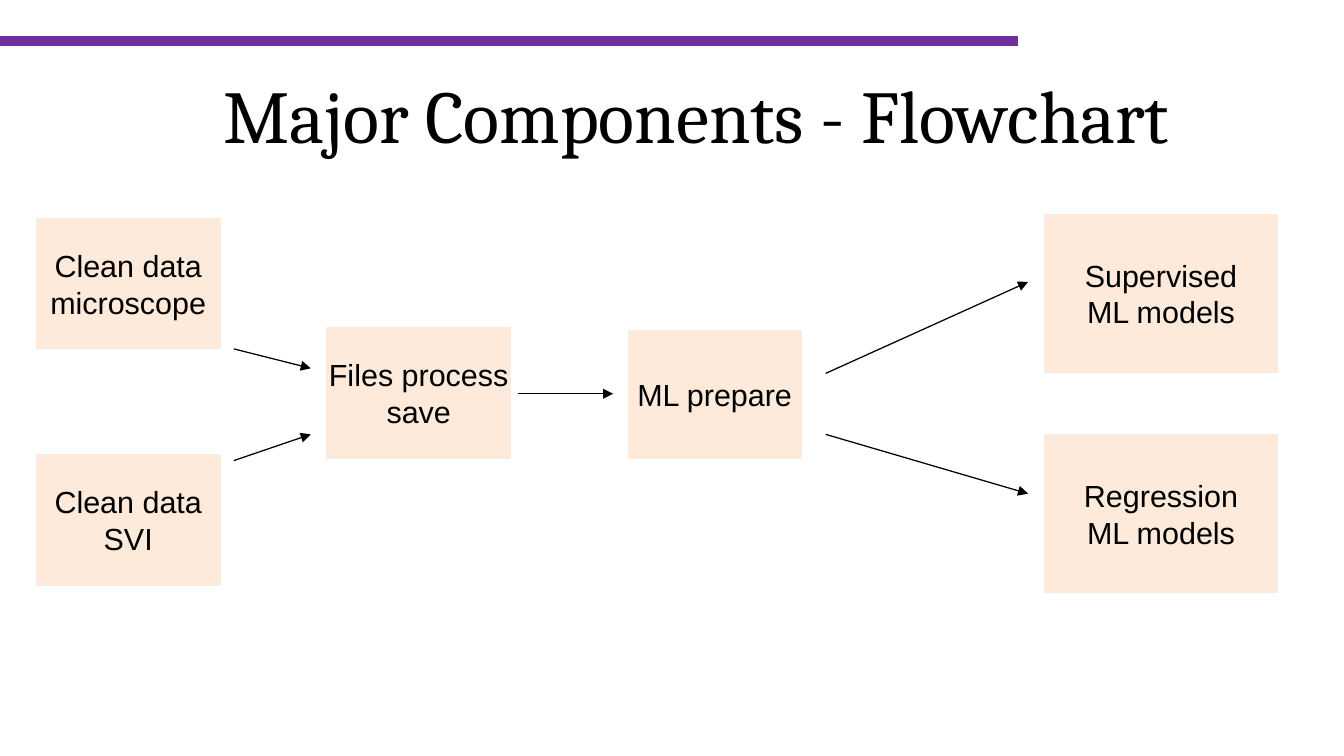
from dataclasses import dataclass

from lxml import etree
from pptx import Presentation
from pptx import util as u
from pptx.dml.color import RGBColor
from pptx.enum import shapes, text
from pptx.oxml import ns


@dataclass(frozen=True)
class Theme:
    accent: str = "7030A0"
    box: str = "FDEADA"
    ink: str = "000000"
    title_font: str = "Cambria"
    body_font: str = "Arial"
    title_size: float = 44
    body_size: float = 18
    bar_width: float = 6
    line_width: float = 0.75


THEME = Theme()
SLIDE_SIZE = (793.5, 446.4)
TITLE = "Major Components - Flowchart"
TITLE_FRAME = (13.5, 27.5, 684.5, 86.5)
BAR = ((601, 24), (0, 24))

INPUT_SIZE = (108.5, 77)
PREPARE_SIZE = (102, 75.5)
MODEL_SIZE = (137, 93.5)
STEPS = [
    ("Clean data\nmicroscope", (21.5, 129), INPUT_SIZE),
    ("Clean data\nSVI", (21.5, 268.5), INPUT_SIZE),
    ("Files process\nsave", (193, 193.5), INPUT_SIZE),
    ("ML prepare", (371, 195), PREPARE_SIZE),
    ("Supervised\nML models", (617, 126.5), MODEL_SIZE),
    ("Regression\nML models", (617, 256.5), MODEL_SIZE),
]
ARROWS = [
    ((138, 206), (183.5, 217.5)),
    ((138, 272), (183.5, 256.5)),
    ((306, 232.5), (362, 232.5)),
    ((487.5, 220.5), (607, 166.5)),
    ((487.5, 256.5), (607, 291.5)),
]


def points(*values):
    return [u.Pt(value) for value in values]


def color(value):
    return RGBColor.from_string(value)


def format_text(frame, font, size, alignment):
    frame.vertical_anchor = text.MSO_ANCHOR.MIDDLE
    for para in frame.paragraphs:
        para.alignment = alignment
        for span in para.runs:
            span.font.name = font
            span.font.size = u.Pt(size)
            span.font.color.rgb = color(THEME.ink)


def add_title(page):
    title = page.shapes.title
    title.left, title.top, title.width, title.height = points(*TITLE_FRAME)
    frame = title.text_frame
    frame.text = TITLE
    frame.word_wrap = True
    frame.auto_size = text.MSO_AUTO_SIZE.NONE
    frame.paragraphs[0].line_spacing = 0.9
    format_text(frame, THEME.title_font, THEME.title_size, text.PP_ALIGN.RIGHT)


def add_step(page, label, position, size):
    box = page.shapes.add_shape(
        shapes.MSO_SHAPE.RECTANGLE, *points(*position, *size))
    box.shadow.inherit = False
    box.fill.solid()
    box.fill.fore_color.rgb = color(THEME.box)
    box.line.color.rgb = color(THEME.box)
    box.line.width = u.Pt(THEME.line_width)
    frame = box.text_frame
    frame.text = label
    frame.word_wrap = False
    format_text(frame, THEME.body_font, THEME.body_size, text.PP_ALIGN.CENTER)


def add_line(page, start, end, line_color, width, arrow=False):
    line = page.shapes.add_connector(
        shapes.MSO_CONNECTOR.STRAIGHT, *points(*start, *end))
    line.line.color.rgb = color(line_color)
    line.line.width = u.Pt(width)
    properties = line._element.spPr
    etree.SubElement(properties, ns.qn("a:effectLst"))
    if arrow:
        outline = properties.find(ns.qn("a:ln"))
        etree.SubElement(outline, ns.qn("a:tailEnd"), type="triangle")


def main():
    deck = Presentation()
    deck.slide_width, deck.slide_height = points(*SLIDE_SIZE)
    page = deck.slides.add_slide(deck.slide_layouts.get_by_name("Title Only"))
    add_line(page, *BAR, THEME.accent, THEME.bar_width)
    add_title(page)
    for label, position, size in STEPS:
        add_step(page, label, position, size)
    for start, end in ARROWS:
        add_line(page, start, end, THEME.ink, THEME.line_width, arrow=True)
    deck.save("out.pptx")


if __name__ == "__main__":
    main()
